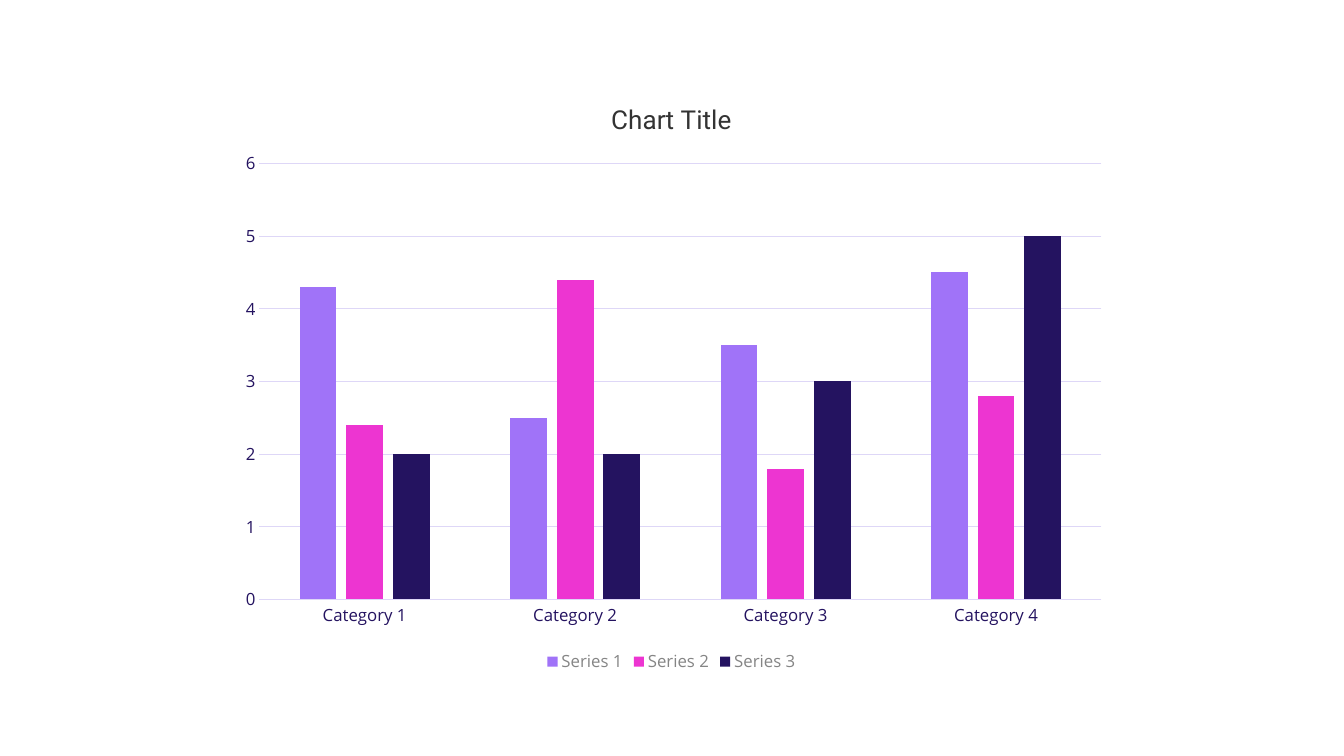
from dataclasses import dataclass

from pptx import Presentation, util as u
from pptx.chart.data import CategoryChartData
from pptx.dml.color import RGBColor
from pptx.enum import chart as ch
from pptx.oxml import parse_xml
from pptx.oxml.ns import nsdecls

PX = 9525  # EMU per px, 96 px to the inch


@dataclass(frozen=True)
class Theme:
    back: str = "FFFFFF"
    head: str = "333333"
    ink: str = "241360"
    base: str = "3A20A0"
    grey: str = "858585"
    grid: str = "DED7F7"
    bars: tuple = ("A073F8", "ED35D1", "241360")
    body: str = "Open Sans"
    title: str = "Roboto"
    small: float = 10
    label: float = 12
    large: float = 18.6


T = Theme()
CATS = [f"Category {n}" for n in range(1, 5)]
ROWS = [(4.3, 2.5, 3.5, 4.5), (2.4, 4.4, 1.8, 2.8), (2, 2, 3, 5)]


def style(font, size=T.label, color=T.ink, face=T.body):
    font.size, font.name, font.bold = u.Pt(size), face, False
    font.color.rgb = RGBColor.from_string(color)


def write(frame, words, **form):
    run = frame.paragraphs[0].add_run()
    run.text = words
    style(run.font, **form)


def rule(line):
    line.color.rgb = RGBColor.from_string(T.grid)
    line.width = u.Pt(0.75)


def place(chart, x, y, w, h):
    """Set the inner plot area as fractions of the chart's box."""
    area = chart._chartSpace.chart.plotArea
    for old in area.xpath("c:layout"):
        area.remove(old)
    parts = "".join(f'<c:{k}Mode val="edge"/>' for k in "xy")
    parts += "".join(f'<c:{k} val="{v}"/>' for k, v in zip("xywh", (x, y, w, h)))
    area.insert(0, parse_xml(
        f'<c:layout {nsdecls("c")}><c:manualLayout>'
        f'<c:layoutTarget val="inner"/>{parts}</c:manualLayout></c:layout>'))


def columns(slide, x, y, w, h):
    data = CategoryChartData()
    data.categories = CATS
    for n, row in enumerate(ROWS, 1):
        data.add_series(f"Series {n}", row)
    box = [v * PX for v in (x, y, w, h)]
    chart = slide.shapes.add_chart(
        ch.XL_CHART_TYPE.COLUMN_CLUSTERED, *box, data).chart
    style(chart.font, size=T.small, color=T.base)

    # Title
    chart.has_title = True
    write(chart.chart_title.text_frame, "Chart Title",
          size=T.large, color=T.head, face=T.title)
    chart.chart_title.include_in_layout = False

    # Bars
    plot = chart.plots[0]
    plot.gap_width, plot.overlap, plot.vary_by_categories = 219, -27, False
    for bar, color in zip(plot.series, T.bars):
        bar.format.fill.solid()
        bar.format.fill.fore_color.rgb = RGBColor.from_string(color)
        bar.invert_if_negative = False
    place(chart, 0.04, 0.14, 0.94, 0.73)

    # Axes
    for axis in (chart.category_axis, chart.value_axis):
        axis.major_tick_mark = axis.minor_tick_mark = ch.XL_TICK_MARK.NONE
        style(axis.tick_labels.font)
    rule(chart.category_axis.format.line)
    values = chart.value_axis
    values.minimum_scale, values.maximum_scale, values.major_unit = 0, 6, 1
    values.format.line.fill.background()
    values.has_major_gridlines = True
    rule(values.major_gridlines.format.line)

    # Legend
    chart.has_legend = True
    chart.legend.position = ch.XL_LEGEND_POSITION.BOTTOM
    chart.legend.include_in_layout = False
    style(chart.legend.font, color=T.grey)


def main():
    deck = Presentation()
    deck.slide_width, deck.slide_height = 1280 * PX, 720 * PX
    slide = deck.slides.add_slide(deck.slide_layouts[6])
    slide.background.fill.solid()
    slide.background.fill.fore_color.rgb = RGBColor.from_string(T.back)
    columns(slide, 213, 76, 853, 569)
    deck.save("out.pptx")


if __name__ == "__main__":
    main()
